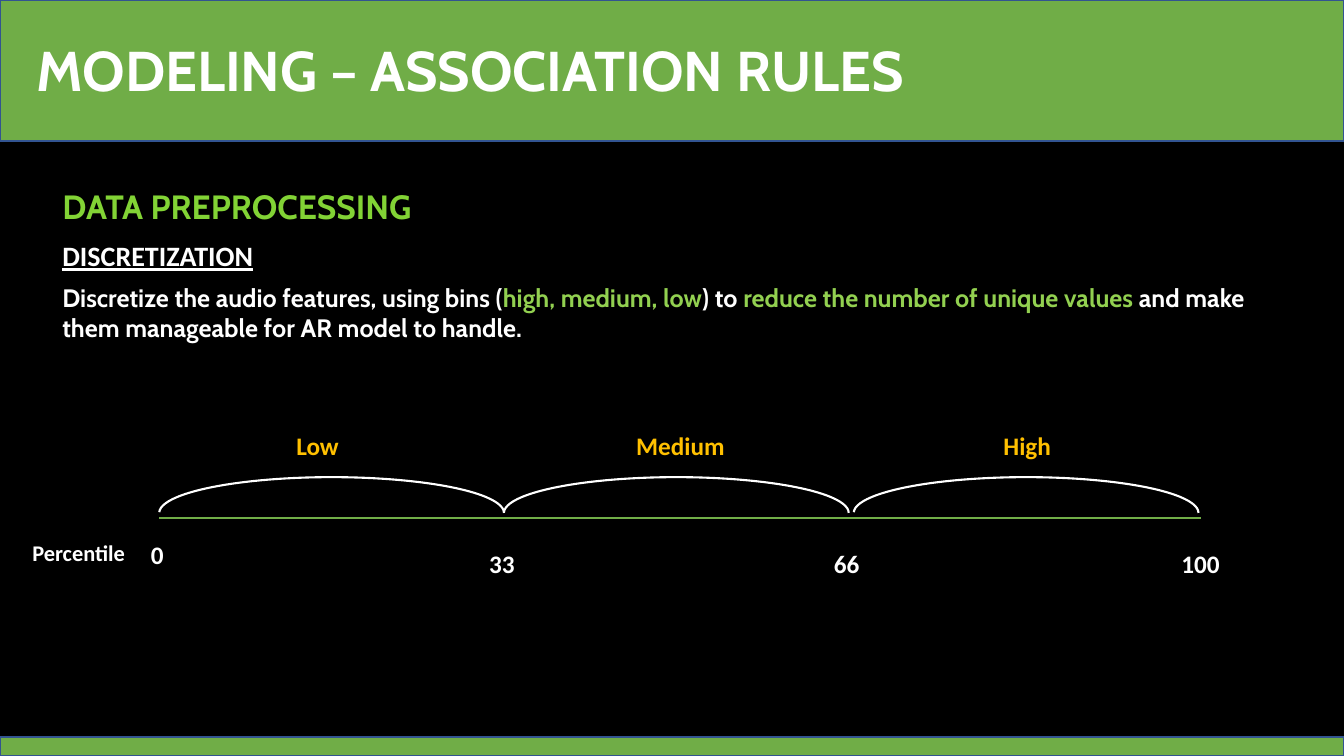
import pptx
import pptx.dml.color
import pptx.enum.shapes
import pptx.enum.text
import pptx.oxml.ns
import pptx.util
from lxml import etree

Pt = pptx.util.Pt
SHAPES = pptx.enum.shapes.MSO_SHAPE
ALIGN = pptx.enum.text.PP_ALIGN
COLOURS = {
    "black": "000000",
    "white": "FFFFFF",
    "green": "70AD47",
    "edge": "325491",
    "heading": "82D335",
    "accent": "92D050",
    "amber": "FFC000",
}
LABEL_WIDTH = 87.84
BINS = [("Low", 113.76, 182.88), ("Medium", 360, 442.08), ("High", 609.84, 689.76)]
TICKS = [("0", 68.4, 381.6), ("33", 314.64, 388.08), ("66", 560.88, 388.08), ("100", 813.6, 388.08)]


def colour(name):
    return pptx.dml.color.RGBColor.from_string(COLOURS[name])


def set_line(shape, name, width):
    shape.line.color.rgb = colour(name)
    shape.line.width = Pt(width)


def add_span(para, text, size=18, font="Calibri", tint="white", underline=None):
    span = para.add_run()
    span.text = text
    span.font.size = Pt(size)
    span.font.name = font
    span.font.bold = True
    span.font.underline = underline
    span.font.color.rgb = colour(tint)


def prepare_frame(box, align=ALIGN.LEFT):
    frame = box.text_frame
    frame.word_wrap = True
    frame.auto_size = pptx.enum.text.MSO_AUTO_SIZE.NONE
    frame.vertical_anchor = pptx.enum.text.MSO_ANCHOR.TOP
    para = frame.paragraphs[0]
    para.alignment = align
    return para


def add_text(page, text, left, top, width, height, align=ALIGN.LEFT, **style):
    box = page.shapes.add_textbox(Pt(left), Pt(top), Pt(width), Pt(height))
    para = prepare_frame(box, align)
    spans = [(text, {})] if isinstance(text, str) else text
    for words, extra in spans:
        add_span(para, words, **{**style, **extra})


def add_label(page, text, left, top, **style):
    add_text(page, text, left, top, LABEL_WIDTH, 28.8, align=ALIGN.CENTER, **style)


def add_bar(page, top, height):
    bar = page.shapes.add_shape(SHAPES.RECTANGLE, Pt(0), Pt(top), Pt(960), Pt(height))
    bar.shadow.inherit = False
    bar.fill.solid()
    bar.fill.fore_color.rgb = colour("green")
    set_line(bar, "edge", 1)


def set_title(page, text):
    title = page.shapes.title
    title.left, title.top, title.width, title.height = Pt(18.72), Pt(21.6), Pt(732.24), Pt(55.44)
    add_span(prepare_frame(title), text, size=40, font="Cabin")
    title.element.getparent().append(title.element)


def add_axis(group, left, right, top):
    axis = group.shapes.add_connector(
        pptx.enum.shapes.MSO_CONNECTOR.STRAIGHT, Pt(left), Pt(top), Pt(right), Pt(top))
    set_line(axis, "green", 1.5)
    properties = axis.element.find(pptx.oxml.ns.qn("p:spPr"))
    etree.SubElement(properties, pptx.oxml.ns.qn("a:effectLst"))


def add_arc(group, left):
    arc = group.shapes.add_shape(SHAPES.ARC, Pt(left), Pt(340.8), Pt(246.24), Pt(51.12))
    arc.adjustments[0] = 108.146
    arc.adjustments[1] = 0
    arc.shadow.inherit = False
    arc.fill.background()
    set_line(arc, "white", 1.5)


def add_scale(page):
    group = page.shapes.add_group_shape()
    add_axis(group, 113.76, 858.24, 370.08)
    for name, arc_left, label_left in BINS:
        add_arc(group, arc_left)
        add_label(page, name, label_left, 303.84, tint="amber")
    for value, left, top in TICKS:
        add_label(page, value, left, top)
    add_label(page, "Percentile", 12.24, 381.6, size=16)


def main():
    deck = pptx.Presentation()
    deck.slide_width, deck.slide_height = Pt(960), Pt(540)
    page = deck.slides.add_slide(deck.slide_layouts[5])
    page.background.fill.solid()
    page.background.fill.fore_color.rgb = colour("black")

    add_bar(page, 0, 100.8)
    add_bar(page, 526.4, 13.6)
    set_title(page, "MODELING – ASSOCIATION RULES")
    add_text(page, "DATA PREPROCESSING", 37.44, 129.6, 379.44, 36,
             size=24, font="Cabin", tint="heading")
    add_text(page, "DISCRETIZATION", 37.44, 167.04, 480.96, 31.68, size=20, underline=True)
    accent = {"tint": "accent"}
    add_text(page, [
        ("Discretize the audio features, using bins (", {}),
        ("high, medium, low", accent),
        (") to ", {}),
        ("reduce the number of unique values ", accent),
        ("and make them manageable for AR model to handle.", {}),
    ], 37.44, 198, 897.12, 51.12, font="Cabin")
    add_scale(page)
    deck.save("out.pptx")


if __name__ == "__main__":
    main()
